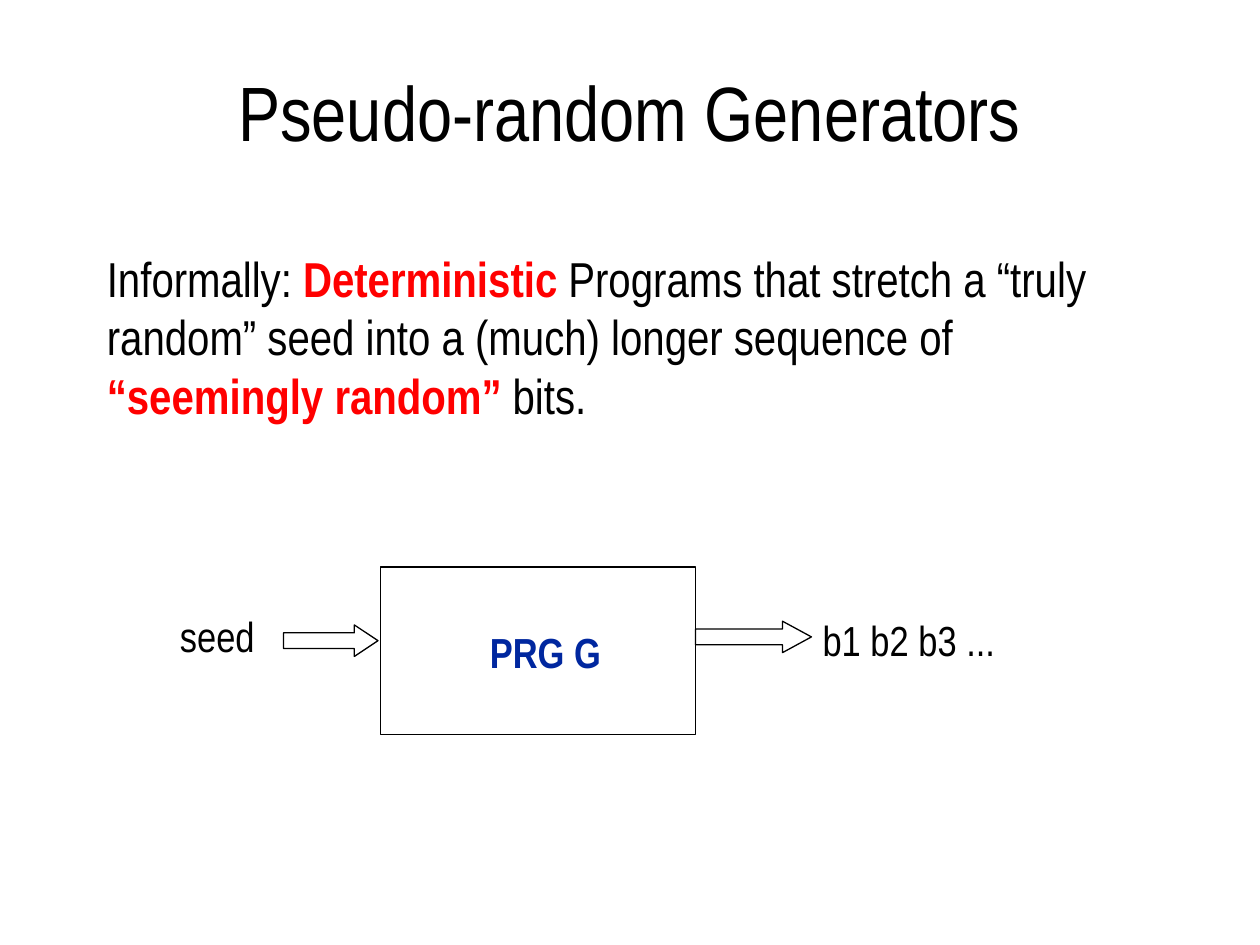
from pptx import Presentation
from pptx.dml.color import RGBColor
from pptx.enum.shapes import MSO_SHAPE
from pptx.enum.text import MSO_ANCHOR, MSO_AUTO_SIZE, PP_ALIGN
from pptx.util import Inches, Pt

RECT, ARROW = MSO_SHAPE.RECTANGLE, MSO_SHAPE.RIGHT_ARROW
MID, TOP = MSO_ANCHOR.MIDDLE, MSO_ANCHOR.TOP
LEFT, CENTER = PP_ALIGN.LEFT, PP_ALIGN.CENTER
FIT, FIXED = MSO_AUTO_SIZE.SHAPE_TO_FIT_TEXT, MSO_AUTO_SIZE.NONE

HUES = {"ink": "000000", "key": "FF0000", "name": "00279F", "paper": "FFFFFF"}
FONT = "Arial Narrow"
WIDE, HIGH = 10, 7.5

TITLE = [("Pseudo-random Generators", "ink", False)]
BODY = [
    ("Informally: ", "ink", False),
    ("Deterministic", "key", True),
    (" Programs that stretch a “truly random” seed into a (much) longer sequence of ", "ink", False),
    ("“seemingly random” ", "key", True),
    ("bits.", "ink", False),
]
LABELS = [
    ("b1 b2 b3 ...", "ink", False, (0.643, 0.644, 0.159, 0.067)),
    ("PRG G", "name", True, (0.379, 0.656, 0.109, 0.067)),
    ("seed", "ink", False, (0.133, 0.64, 0.08, 0.067)),
]
SHAPES = [
    (RECT, None, (0.302, 0.6, 0.25, 0.177), ()),
    (ARROW, "paper", (0.225, 0.661, 0.075, 0.033), (0.5, 0.75)),
    (ARROW, "paper", (0.552, 0.657, 0.092, 0.033), (0.5, 0.92)),
]


def hue(key):
    return RGBColor.from_string(HUES[key])


def place(box):
    x, y, w, h = box
    return [Inches(round(v, 2)) for v in (x * WIDE, y * HIGH, w * WIDE, h * HIGH)]


def style(item, form):
    for key, val in form.items():
        setattr(item, key, val)


def write(shape, runs, size, align=LEFT, **form):
    frame = shape.text_frame
    style(frame, form)
    para = frame.paragraphs[0]
    para.alignment = align
    for text, tone, bold in runs:
        run = para.add_run()
        run.text = text
        style(run.font, {"name": FONT, "size": Pt(size), "bold": bold})
        run.font.color.rgb = hue(tone)


def draw(slide, kind, fill, box, adjs):
    shape = slide.shapes.add_shape(kind, *place(box))
    shape.shadow.inherit = False
    if fill:
        shape.fill.solid()
        shape.fill.fore_color.rgb = hue(fill)
    else:
        shape.fill.background()
    shape.line.color.rgb = hue("ink")
    shape.line.width = Pt(0.75)
    for i, val in enumerate(adjs):
        shape.adjustments[i] = val


def main():
    deck = Presentation()
    style(deck, {"slide_width": Inches(WIDE), "slide_height": Inches(HIGH)})
    slide = deck.slides.add_slide(deck.slide_layouts[5])
    title = slide.shapes.title
    spot = place((0.075, 0.033, 0.85, 0.167))
    style(title, dict(zip(("left", "top", "width", "height"), spot)))
    write(title, TITLE, 44, CENTER, vertical_anchor=MID, auto_size=FIXED)
    body = slide.shapes.add_textbox(*place((0.075, 0.256, 0.85, 0.223)))
    write(body, BODY, 28, word_wrap=True, vertical_anchor=TOP)
    for part in SHAPES:
        draw(slide, *part)
    for text, tone, bold, box in LABELS:
        label = slide.shapes.add_textbox(*place(box))
        write(label, [(text, tone, bold)], 24, word_wrap=False, auto_size=FIT)
    deck.save("out.pptx")


if __name__ == "__main__":
    main()
